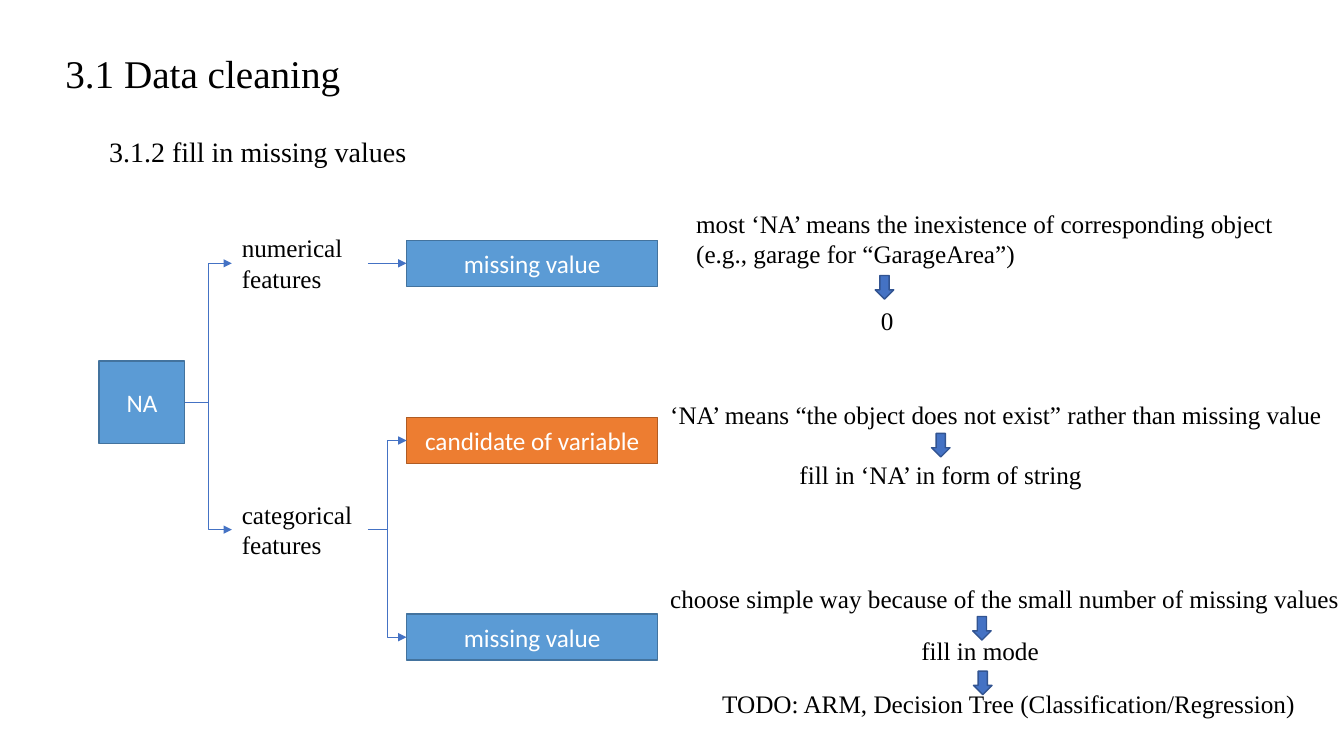
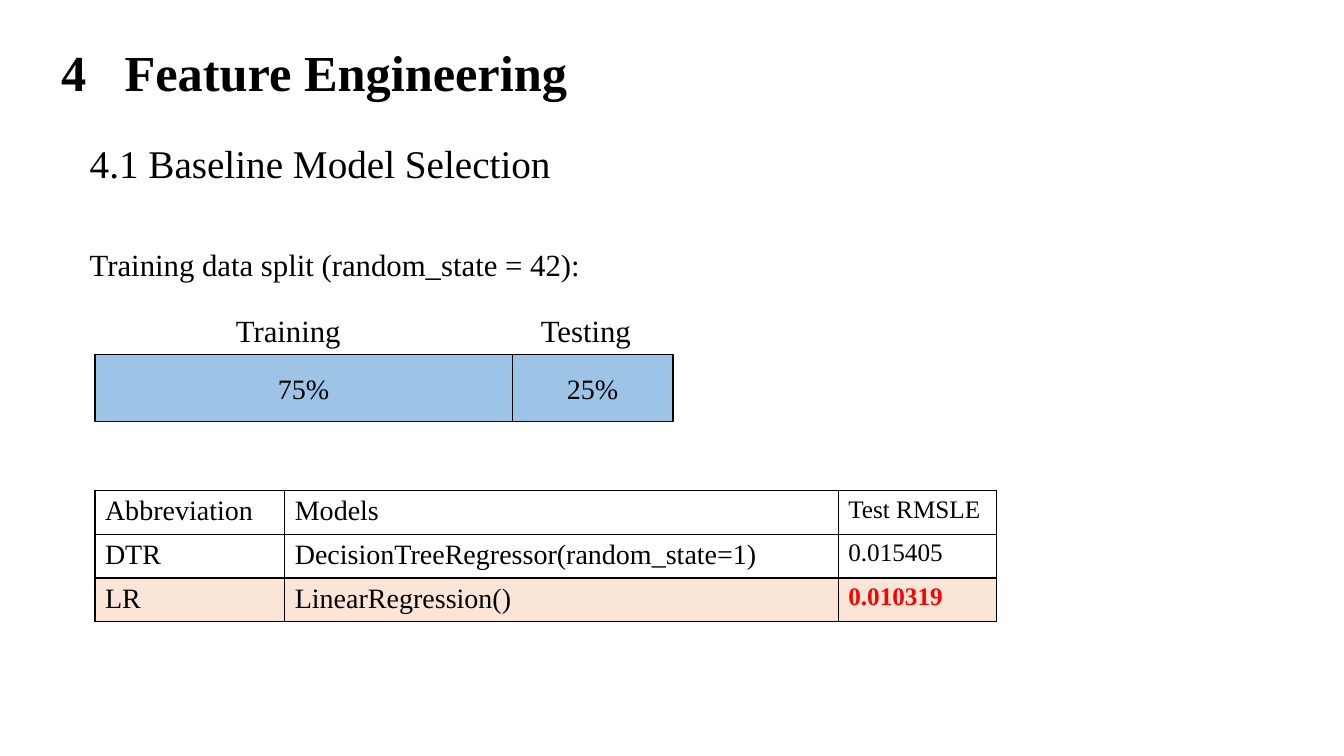
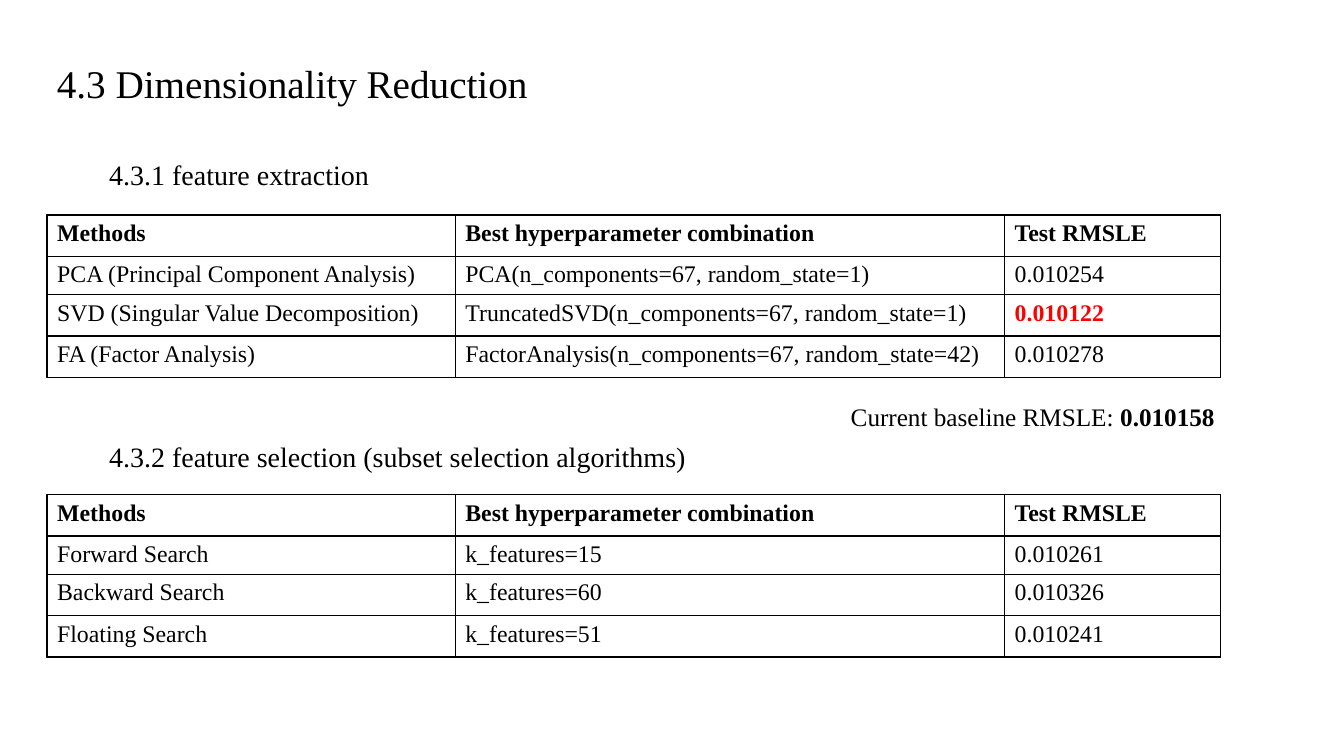
"""Build three slides on data cleaning, model choice and feature reduction."""
from lxml.etree import SubElement
from pptx import Presentation
from pptx.dml.color import RGBColor
from pptx.enum.shapes import MSO_CONNECTOR, MSO_SHAPE
from pptx.enum.text import MSO_ANCHOR, PP_ALIGN
from pptx.oxml import parse_xml
from pptx.oxml.ns import nsdecls, qn
from pptx.util import Emu, Pt

HUES = {
    "ink": "000000", "white": "FFFFFF", "red": "FF0000",
    "blue": "5B9BD5", "blue edge": "43739E",
    "orange": "ED7D31", "orange edge": "AF5C24",
    "deep": "4472C4", "deep edge": "325491",
    "sky": "9DC3E6", "peach": "FBE5D6",
}
RGB = {name: RGBColor.from_string(code) for name, code in HUES.items()}
SERIF, SANS = "Times New Roman", "Calibri"
WIDE, HIGH = 12192000, 6858000
COL, ROW = WIDE / 160, HIGH / 90


def put(slide, text, x, y, w, h, size=18, form=None, fill="blue", edge="ink", ink="ink", face=SERIF):
    """Add a text box, or a filled shape when a form is given."""
    place = [Emu(int(n)) for n in (x * COL, y * ROW, w * COL, h * ROW)]
    if form is None:
        shape = slide.shapes.add_textbox(*place)
    else:
        shape = slide.shapes.add_shape(form, *place)
        shape.shadow.inherit = False
        shape.fill.solid()
        shape.fill.fore_color.rgb = RGB[fill]
        shape.line.color.rgb = RGB[edge]
        shape.line.width = Pt(1)
    frame = shape.text_frame
    frame.word_wrap = True
    frame.text = text
    for para in frame.paragraphs:
        para.alignment = PP_ALIGN.CENTER if form else PP_ALIGN.LEFT
        for run in para.runs:
            run.font.size, run.font.name = Pt(size), face
            run.font.color.rgb = RGB[ink]
    return shape


def grid(slide, x, y, cols, rows, data, size):
    """Add a plain table with thin black borders."""
    place = [Emu(int(n)) for n in (x * COL, y * ROW, sum(cols) * COL, sum(rows) * ROW)]
    table = slide.shapes.add_table(len(rows), len(cols), *place).table
    table.first_row = table.horz_banding = False
    for col, w in zip(table.columns, cols):
        col.width = Emu(int(w * COL))
    for row, h, line in zip(table.rows, rows, data):
        row.height = Emu(int(h * ROW))
        for cell, text in zip(row.cells, line):
            cell.text = text
            font = cell.text_frame.paragraphs[0].runs[0].font
            font.size, font.name, font.bold = Pt(size), SERIF, False
            font.color.rgb = RGB["ink"]
            cell.fill.background()
            for spot, side in enumerate(("lnL", "lnR", "lnT", "lnB")):
                cell._tc.get_or_add_tcPr().insert(spot, parse_xml(
                    f'<a:{side} {nsdecls("a")} w="12700"><a:solidFill>'
                    f'<a:srgbClr val="{HUES["ink"]}"/></a:solidFill></a:{side}>'))
    return table


deck = Presentation()
deck.slide_width, deck.slide_height = Emu(WIDE), Emu(HIGH)
clean, model, reduce = [deck.slides.add_slide(deck.slide_layouts[6]) for _ in range(3)]

for slide, text, x, y, w in (
    (clean, "3.1 Data cleaning", 6.6, 2, 99.7),
    (model, "4.1 Baseline Model Selection", 9.5, 12.8, 105.7),
    (reduce, "4.3 Dimensionality Reduction", 5.6, 3.2, 138),
):
    frame = put(slide, text, x, y, w, 10.1, 28).text_frame
    frame.vertical_anchor = MSO_ANCHOR.BOTTOM
    frame.paragraphs[0].line_spacing = 0.9

for slide, text, y, w in (
    (clean, "3.1.2 fill in missing values", 15.4, 40),
    (reduce, "4.3.1 feature extraction", 18.2, 40),
    (reduce, "4.3.2 feature selection (subset selection algorithms)", 51.7, 77),
):
    put(slide, text, 11.8, y, w, 5.3, 20)

root = put(clean, "NA", 11.8, 43, 10.2, 9.8, 18, MSO_SHAPE.RECTANGLE, "blue", "blue edge", "white", SANS)
kinds = [put(clean, text, 27.6, y, 16.2, 8.5)
         for text, y in (("numerical features", 27.1), ("categorical features", 58.8))]
cases = [put(clean, text, 48.4, y, 29.9, 5.5, 18, MSO_SHAPE.RECTANGLE, fill, fill + " edge", "white", SANS)
         for text, y, fill in (("missing value", 28.6, "blue"),
                               ("candidate of variable", 49.7, "orange"),
                               ("missing value", 73.1, "blue"))]

for start, end in ((root, kinds[0]), (root, kinds[1]), (kinds[0], cases[0]),
                   (kinds[1], cases[2]), (kinds[1], cases[1])):
    link = clean.shapes.add_connector(MSO_CONNECTOR.ELBOW, 0, 0, 0, 0)
    link.begin_connect(start, 3)
    link.end_connect(end, 1)
    link.line.color.rgb = RGB["deep"]
    link.line.width = Pt(0.5)
    SubElement(link.line._get_or_add_ln(), qn("a:tailEnd"), type="triangle")
    SubElement(link._element.spPr, qn("a:effectLst"))

for text, x, y, w, h in (
    ("most ‘NA’ means the inexistence of corresponding object\n(e.g., garage for “GarageArea”)",
     81.7, 24.2, 78, 8.5),
    ("0", 103.7, 35.8, 8.5, 4.8),
    ("‘NA’ means “the object does not exist” rather than missing value", 78.6, 46.9, 81, 4.8),
    ("fill in ‘NA’ in form of string", 94, 54.1, 36, 4.8),
    ("choose simple way because of the small number of missing values", 78.6, 68.8, 83, 4.8),
    ("fill in mode", 108.5, 75, 19.2, 4.8),
    ("TODO: ARM, Decision Tree (Classification/Regression)", 84.8, 81.4, 72.2, 4.8),
):
    put(clean, text, x, y, w, h)

for x, y in ((104.2, 32.8), (110.9, 51.6), (115.8, 73.4), (115.9, 79.9)):
    put(clean, "", x, y, 2.2, 2.8, 18, MSO_SHAPE.DOWN_ARROW, "deep", "deep edge")

head = put(model, "4\tFeature Engineering", 6.1, 4.3, 70, 8.5, 36).text_frame.paragraphs[0]
head.runs[0].font.bold = True
dent = int(7.55 * COL)
props = head._p.get_or_add_pPr()
props.set("marL", str(dent))
props.set("indent", str(-dent))

put(model, "Training data split (random_state = 42):", 9.5, 28.6, 72.8, 5.6, 22)
left = 11.3
for name, x, share, w in (("Training", 26.9, "75%", 49.7), ("Testing", 63.2, "25%", 19.1)):
    put(model, name, x, 36.5, 20, 5.6, 22)
    put(model, share, left, 42.2, w, 8, 20, MSO_SHAPE.RECTANGLE, "sky")
    left += w

scores = grid(model, 11.3, 58.4, (22.6, 65.9, 18.8), (5.2,) * 3, (
    ("Abbreviation", "Models", "Test RMSLE"),
    ("DTR", "DecisionTreeRegressor(random_state=1)", "0.015405"),
    ("LR", "LinearRegression()", "0.010319"),
), 20)
for row in scores.rows:
    row.cells[2].text_frame.paragraphs[0].runs[0].font.size = Pt(18)
for cell in scores.rows[2].cells:
    cell.fill.solid()
    cell.fill.fore_color.rgb = RGB["peach"]

titles = ("Methods", "Best hyperparameter combination", "Test RMSLE")
picks = []
for y, data in (
    (25.6, (("PCA (Principal Component Analysis)", "PCA(n_components=67, random_state=1)", "0.010254"),
            ("SVD (Singular Value Decomposition)", "TruncatedSVD(n_components=67, random_state=1)", "0.010122"),
            ("FA (Factor Analysis)", "FactorAnalysis(n_components=67, random_state=42)", "0.010278"))),
    (58.9, (("Forward Search", "k_features=15", "0.010261"),
            ("Backward Search", "k_features=60", "0.010326"),
            ("Floating Search", "k_features=51", "0.010241"))),
):
    table = grid(reduce, 5.6, y, (48.6, 65.4, 25.7), (4.9, 4.5, 4.9, 4.9), (titles, *data), 17)
    for cell in table.rows[0].cells:
        cell.text_frame.paragraphs[0].runs[0].font.bold = True
    picks.append(table)

for table in (scores, picks[0]):
    font = table.cell(2, 2).text_frame.paragraphs[0].runs[0].font
    font.bold = True
    font.color.rgb = RGB["red"]

note = put(reduce, "Current baseline RMSLE: ", 100.1, 47.2, 48, 4.8).text_frame.paragraphs[0]
best = note.add_run()
best.text = "0.010158"
best.font.size, best.font.name, best.font.bold = Pt(18), SERIF, True
best.font.color.rgb = RGB["ink"]

deck.save("out.pptx")
